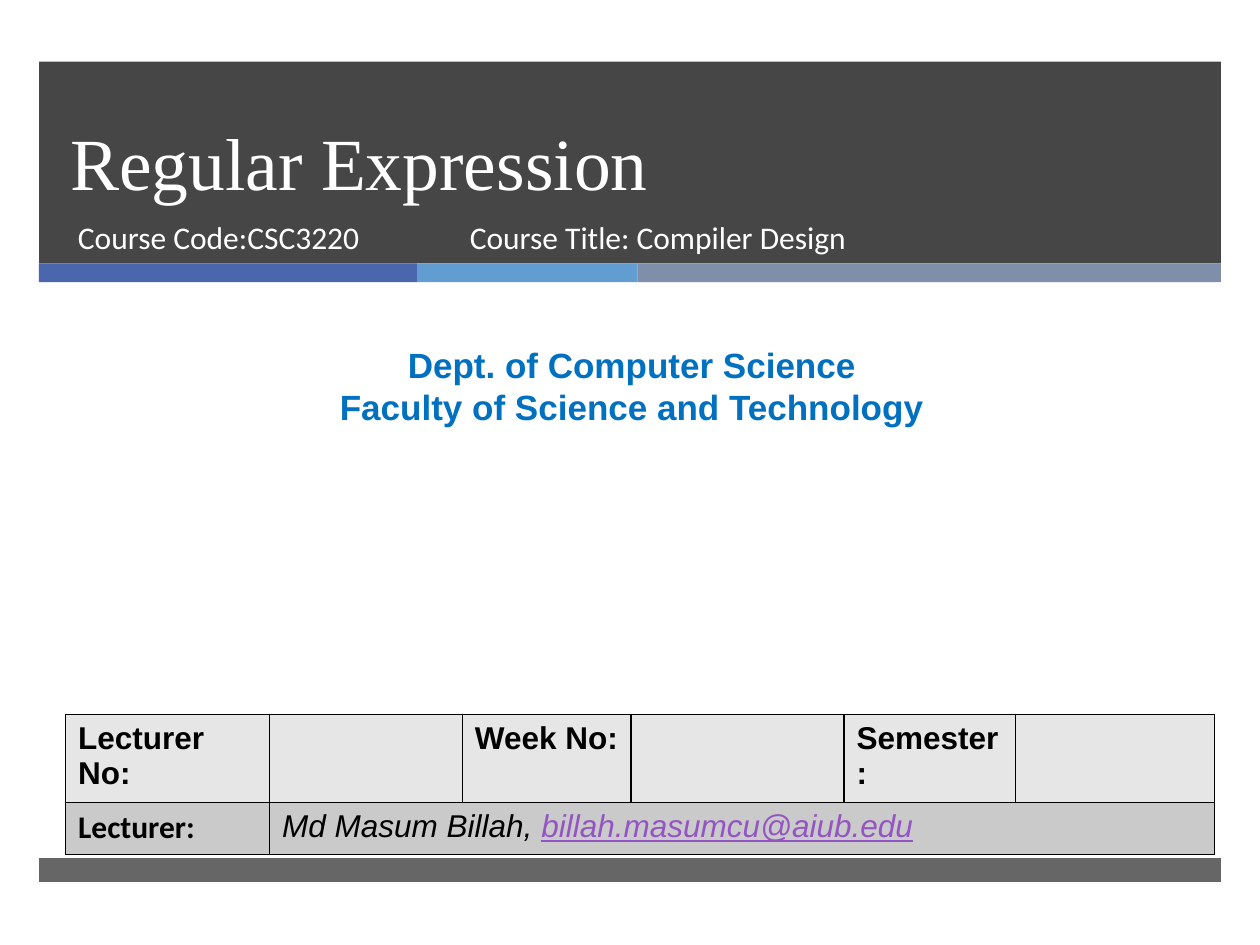
from dataclasses import dataclass

from lxml import etree
from pptx import Presentation
from pptx.dml.color import RGBColor
from pptx.enum import shapes, text
from pptx.oxml import ns
from pptx.util import Inches, Pt

WHITE, BLACK, DARK, BLUE = "FFFFFF", "000000", "262626", "0070C0"


@dataclass
class Band:
    left: float
    top: float
    width: float
    height: float
    color: str
    opacity: int = 100


@dataclass
class Span:
    text: str
    font: str = "Arial"
    color: str = BLACK
    bold: bool = False
    italic: bool = False
    underline: bool = False


def rgb(color: str) -> RGBColor:
    return RGBColor.from_string(color)


def add_band(page, band: Band) -> None:
    shape = page.shapes.add_shape(
        shapes.MSO_SHAPE.RECTANGLE,
        *map(Inches, (band.left, band.top, band.width, band.height)))
    shape.shadow.inherit = False
    shape.line.fill.background()
    shape.fill.solid()
    shape.fill.fore_color.rgb = rgb(band.color)
    if band.opacity < 100:
        color = shape.fill._xPr.find(ns.qn("a:solidFill"))[0]
        etree.SubElement(color, ns.qn("a:alpha"), val=str(band.opacity * 1000))


def add_span(para, span: Span, size: float) -> None:
    run = para.add_run()
    run.text = span.text
    font = run.font
    font.name, font.size = span.font, Pt(size)
    font.bold, font.italic, font.underline = span.bold, span.italic, span.underline
    font.color.rgb = rgb(span.color)


def add_text(page, left: float, top: float, width: float, height: float,
             lines: list[str], *, size: float, font: str, color: str = WHITE,
             bold: bool = False, align=text.PP_ALIGN.LEFT,
             anchor=text.MSO_ANCHOR.TOP, spacing: float = 1.0) -> None:
    box = page.shapes.add_textbox(*map(Inches, (left, top, width, height)))
    frame = box.text_frame
    frame.word_wrap = True
    frame.vertical_anchor = anchor
    for index, line in enumerate(lines):
        para = frame.add_paragraph() if index else frame.paragraphs[0]
        para.alignment, para.line_spacing = align, spacing
        add_span(para, Span(line, font, color, bold), size)


def add_borders(cell) -> None:
    """Outline a cell in black; borders must precede the fill in tcPr."""
    properties = cell._tc.get_or_add_tcPr()
    for index, side in enumerate(("lnL", "lnR", "lnT", "lnB")):
        line = etree.Element(ns.qn(f"a:{side}"), w=str(Pt(1)))
        fill = etree.SubElement(line, ns.qn("a:solidFill"))
        etree.SubElement(fill, ns.qn("a:srgbClr"), val=BLACK)
        properties.insert(index, line)


def add_lecture_table(page) -> None:
    widths = (1.62, 1.53, 1.34, 1.69, 1.36, 1.58)
    row_fills = ("E6E6E6", "CACACA")
    spans = {
        (0, 0): [Span("Lecturer No:", bold=True)],
        (0, 2): [Span("Week No:", bold=True)],
        (0, 4): [Span("Semester:", bold=True)],
        (1, 0): [Span("Lecturer:", "Calibri", bold=True)],
        (1, 1): [Span("Md Masum Billah, ", italic=True),
                 Span("billah.masumcu@aiub.edu", color="9454C3",
                      italic=True, underline=True)],
    }
    table = page.shapes.add_table(
        len(row_fills), len(widths), Inches(0.52), Inches(5.67),
        Inches(sum(widths)), Inches(0.82)).table
    for column, width in zip(table.columns, widths):
        column.width = Inches(width)
    for row, fill in enumerate(row_fills):
        table.rows[row].height = Inches(0.41)
        for column in range(len(widths)):
            cell = table.cell(row, column)
            cell.fill.solid()
            cell.fill.fore_color.rgb = rgb(fill)
            add_borders(cell)
            for span in spans.get((row, column), []):
                add_span(cell.text_frame.paragraphs[0], span, 18)
    table.cell(1, 1).merge(table.cell(1, 5))


def main() -> None:
    deck = Presentation()
    deck.slide_width, deck.slide_height = Inches(10), Inches(7.5)
    page = deck.slides.add_slide(deck.slide_layouts[6])

    add_band(page, Band(0.31, 0.49, 9.38, 1.6, DARK, 85))
    left = 0.31
    for width, color in ((3, "4A66AC"), (1.75, "629DD1"), (4.63, "7F8FA9")):
        add_band(page, Band(left, 2.09, width, 0.15, color))
        left += width
    add_band(page, Band(0.31, 6.81, 9.38, 0.19, DARK, 70))

    add_text(page, 0.46, 0.49, 8.54, 1.19, ["Regular Expression"], size=42,
             font="Times New Roman", anchor=text.MSO_ANCHOR.BOTTOM, spacing=1.1)
    add_text(page, 0.52, 1.68, 3.05, 0.53, ["Course Code:CSC3220"],
             size=18, font="Calibri")
    add_text(page, 0.08, 2.68, 9.87, 0.77,
             ["Dept. of Computer Science", "Faculty of Science and Technology"],
             size=20, font="Arial", color=BLUE, bold=True,
             align=text.PP_ALIGN.CENTER)
    add_lecture_table(page)
    add_text(page, 3.63, 1.68, 4.55, 0.53, ["Course Title: Compiler Design"],
             size=18, font="Calibri")
    deck.save("out.pptx")


if __name__ == "__main__":
    main()
